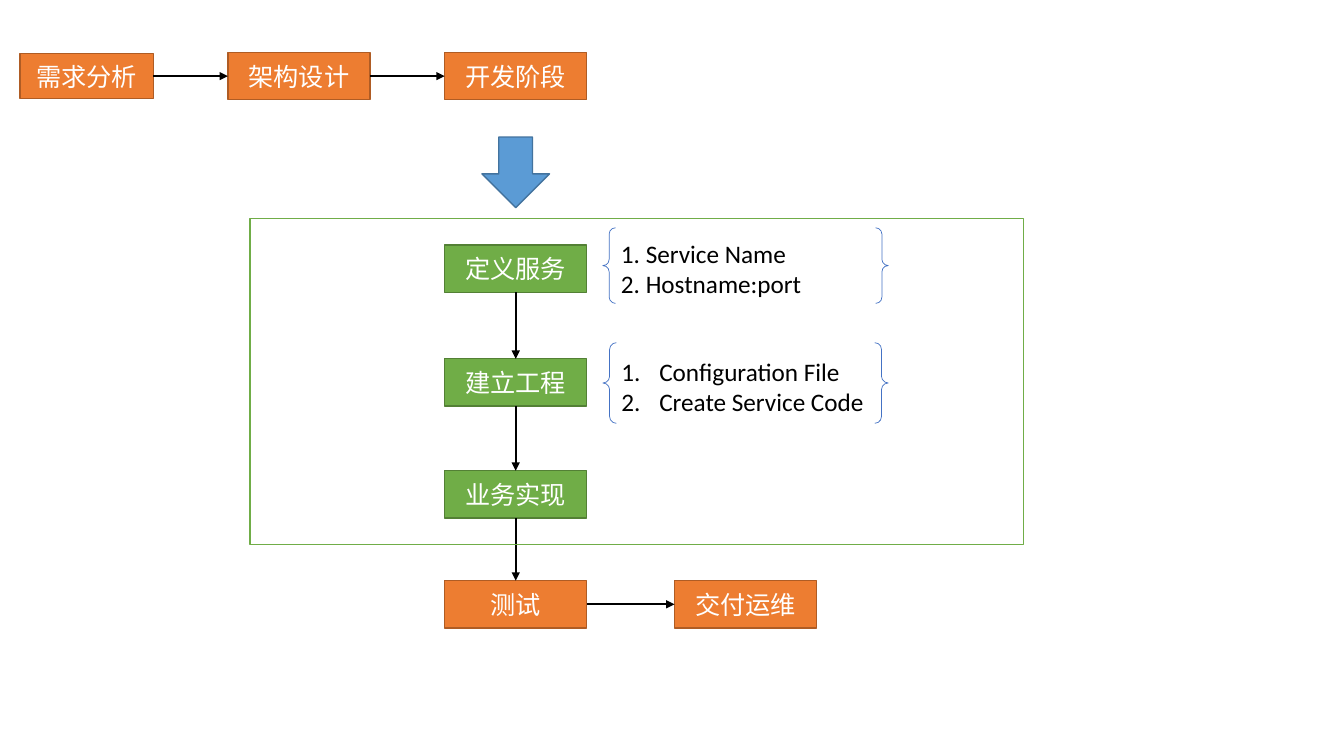
from pptx import Presentation
from pptx.dml.color import RGBColor as RGB
from pptx.enum.shapes import MSO_CONNECTOR as Link, MSO_SHAPE as Kind
from pptx.enum.text import MSO_ANCHOR as Anchor, PP_ALIGN as Align
from pptx.oxml.ns import qn
from pptx.util import Inches, Pt
from lxml.etree import SubElement as Sub

ORANGE, RUST = RGB(0xED, 0x7D, 0x31), RGB(0xAF, 0x5C, 0x24)
GREEN, MOSS = RGB(0x70, 0xAD, 0x47), RGB(0x53, 0x80, 0x35)
BLUE, NAVY = RGB(0x5B, 0x9B, 0xD5), RGB(0x43, 0x73, 0x9E)
BRACE = RGB(0x44, 0x72, 0xC4)
WHITE, BLACK = RGB(255, 255, 255), RGB(0, 0, 0)
FONT, SIZE = "Calibri", Pt(18)

# Grid of the flow chart, in inches: left edges and top edges
COLS = [0.2, 2.26, 4.41, 6.69]
ROWS = [0.52, 2.43, 3.56, 4.67, 5.76]
BOX_W, BOX_H = 1.41, 0.47
NOTE_X, NOTE_W = 5.98, 2.83

# Connection sites of a rectangle
TOP, LEFT, BOTTOM, RIGHT = range(4)


def add_form(slide, kind, place, fill, edge, width=1):
    form = slide.shapes.add_shape(kind, *map(Inches, place))
    form.shadow.inherit = False
    if fill is None:
        form.fill.background()
    else:
        form.fill.solid()
        form.fill.fore_color.rgb = fill
    form.line.color.rgb = edge
    form.line.width = Pt(width)
    return form


def set_text(form, lines, color, align):
    frame = form.text_frame
    frame.word_wrap = True
    frame.vertical_anchor = Anchor.MIDDLE
    for i, line in enumerate(lines):
        para = frame.add_paragraph() if i else frame.paragraphs[0]
        para.text = line
        para.alignment = align
        para.font.name, para.font.size = FONT, SIZE
        para.font.color.rgb = color


def add_step(slide, text, col, row, fill, edge, width=BOX_W, height=BOX_H):
    top = ROWS[row] + (BOX_H - height) / 2
    box = add_form(slide, Kind.RECTANGLE, (COLS[col], top, width, height),
                   fill, edge)
    set_text(box, [text], WHITE, Align.CENTER)
    return box


def add_note(slide, top, height, lines, auto=False):
    note = add_form(slide, Kind.DOUBLE_BRACE, (NOTE_X, top, NOTE_W, height),
                    None, BRACE, 0.5)
    set_text(note, lines, BLACK, Align.LEFT)
    if auto:
        for para in note.text_frame.paragraphs:
            props = para._p.get_or_add_pPr()
            props.set("marL", str(Inches(0.375)))
            props.set("indent", str(-Inches(0.375)))
            mark = props.makeelement(qn("a:buAutoNum"),
                                     {"type": "arabicPeriod"})
            props.insert(0, mark)


def add_arrow(slide, start, end, out, into):
    line = slide.shapes.add_connector(Link.STRAIGHT, 0, 0, 0, 0)
    line.begin_connect(start, out)
    line.end_connect(end, into)
    line.line.color.rgb = BLACK
    line.line.width = Pt(1.5)
    Sub(line.line._get_or_add_ln(), qn("a:tailEnd"), type="triangle")
    Sub(line._element.spPr, qn("a:effectLst"))


def main():
    deck = Presentation()
    deck.slide_width, deck.slide_height = Inches(13.33), Inches(7.5)
    slide = deck.slides.add_slide(deck.slide_layouts[6])

    # Steps across the top, then down the third column
    need = add_step(slide, "需求分析", 0, 0, ORANGE, RUST, 1.32, 0.45)
    design, build = [add_step(slide, text, col, 0, ORANGE, RUST)
                     for col, text in enumerate(["架构设计", "开发阶段"], 1)]
    inner = [add_step(slide, text, 2, row, GREEN, MOSS)
             for row, text in enumerate(["定义服务", "建立工程", "业务实现"], 1)]
    test = add_step(slide, "测试", 2, 4, ORANGE, RUST)
    ship = add_step(slide, "交付运维", 3, 4, ORANGE, RUST)

    # Notes in braces
    add_note(slide, 2.26, 0.75, ["1. Service Name", "2. Hostname:port"])
    add_note(slide, 3.4, 0.8, ["Configuration File", "Create Service Code"],
             auto=True)

    # Arrows between steps
    for start, end in [(need, design), (design, build), (test, ship)]:
        add_arrow(slide, start, end, RIGHT, LEFT)
    for start, end in zip(inner, inner[1:] + [test]):
        add_arrow(slide, start, end, BOTTOM, TOP)

    # Block arrow into the frame of the development stage
    add_form(slide, Kind.DOWN_ARROW, (4.78, 1.36, 0.67, 0.7), BLUE, NAVY)
    add_form(slide, Kind.RECTANGLE, (2.48, 2.17, 7.67, 3.23), None, GREEN)

    deck.save("out.pptx")


main()
